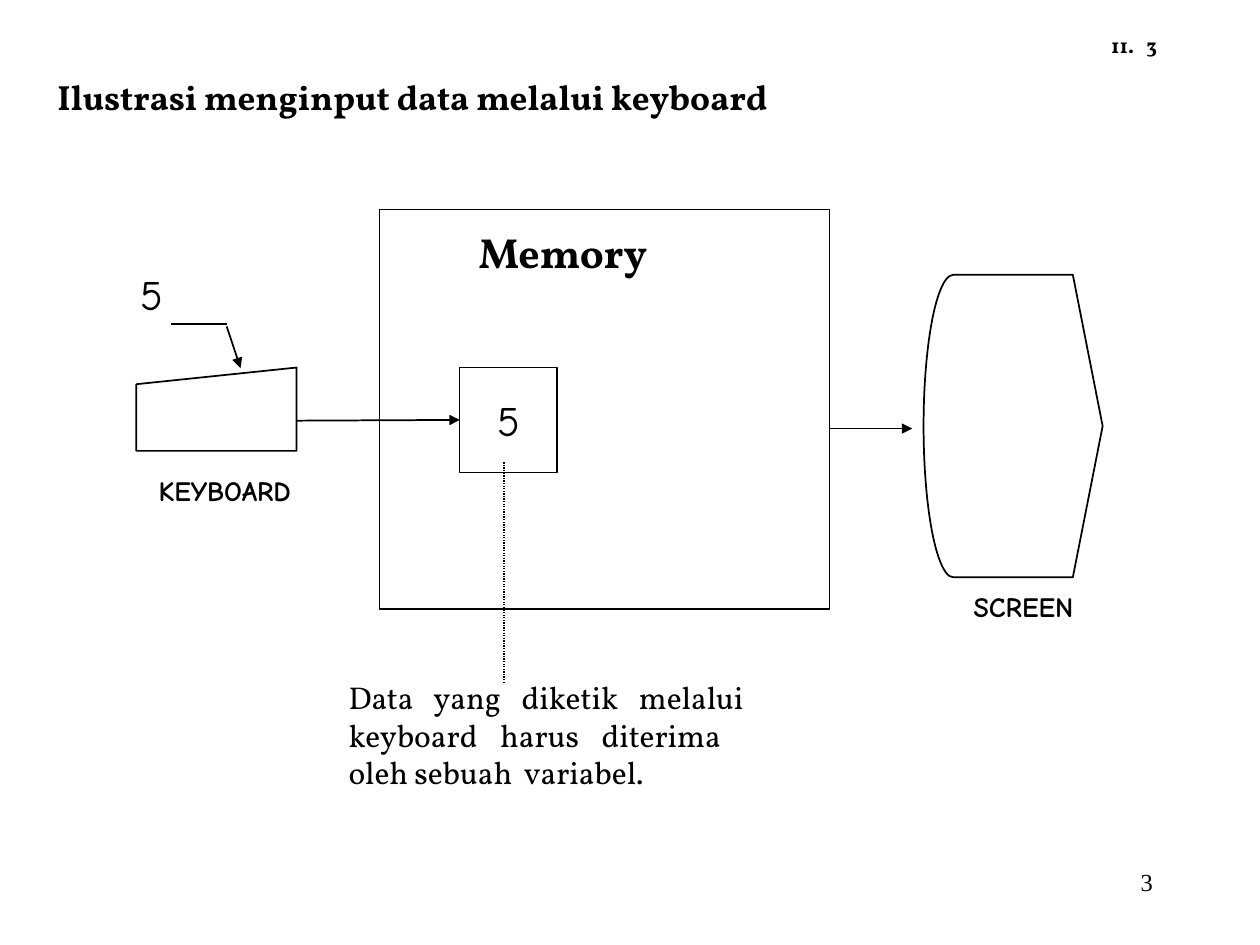
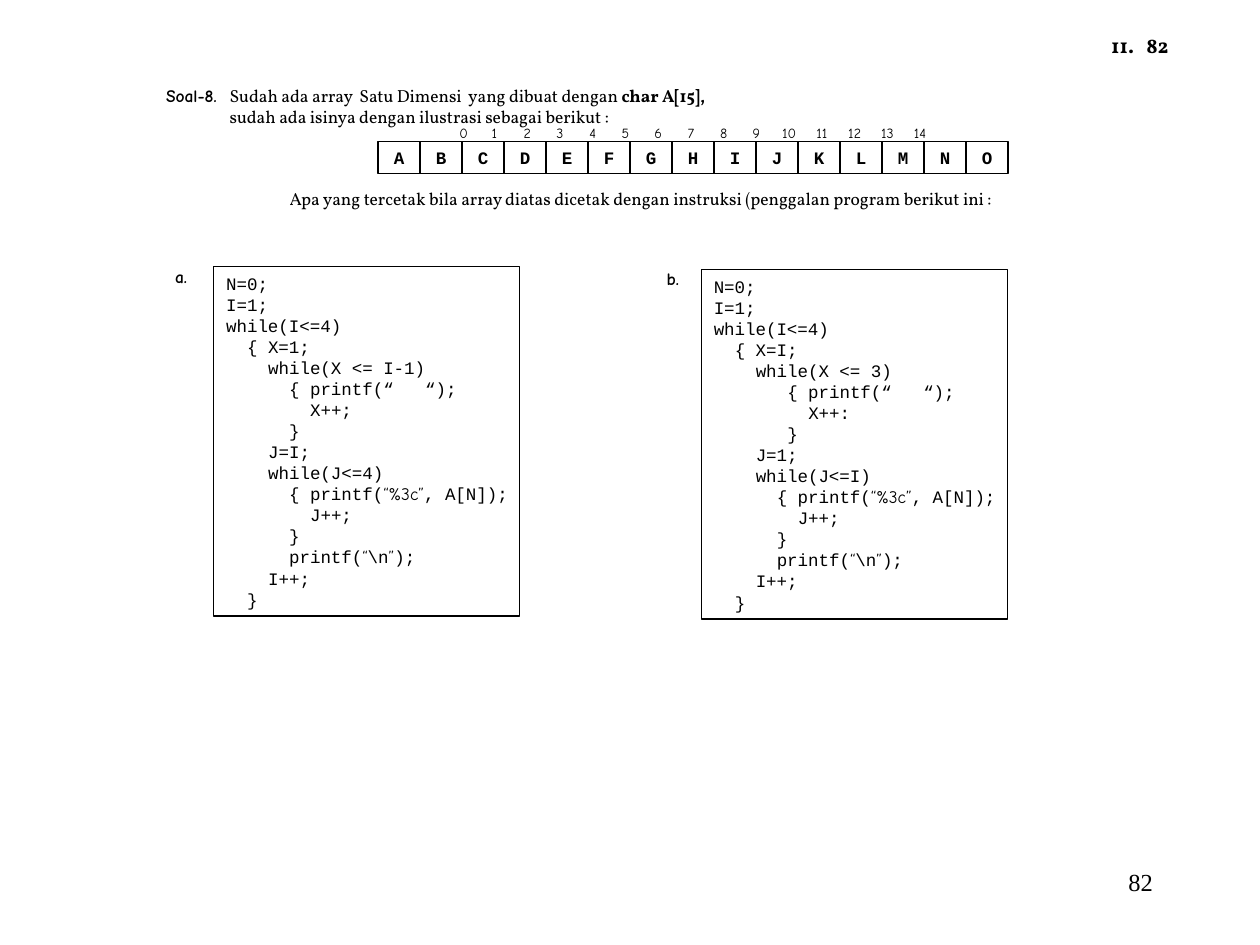
"""Build two lecture slides: keyboard input to memory, and an array printing exercise."""
import dataclasses

import pptx
import pptx.dml.color
import pptx.enum.dml
import pptx.enum.shapes
import pptx.enum.text
import pptx.oxml.ns
import pptx.util
from lxml import etree

Cm = pptx.util.Cm
Pt = pptx.util.Pt
Preset = pptx.enum.shapes.MSO_SHAPE
Align = pptx.enum.text.PP_ALIGN
Anchor = pptx.enum.text.MSO_ANCHOR


@dataclasses.dataclass(frozen=True)
class Theme:
    ink: pptx.dml.color.RGBColor = pptx.dml.color.RGBColor(0, 0, 0)
    serif: str = "Vollkorn"
    hand: str = "Comic Neue"
    code: str = "Courier New"
    number: str = "Times New Roman"
    index: float = 8
    body: float = 10
    header: float = 12
    footer: float = 14
    label: float = 16
    note: float = 18
    title: float = 20
    large: float = 24
    thin: float = 0.75
    medium: float = 1


theme = Theme()


def add_box(slide, bounds, text="", font=theme.serif, size=theme.body, bold=None,
            align=Align.LEFT, wrap=False, preset=None, weight=theme.thin, anchor=Anchor.TOP):
    lengths = [Cm(length) for length in bounds]
    if preset is None:
        shape = slide.shapes.add_textbox(*lengths)
    else:
        shape = slide.shapes.add_shape(preset, *lengths)
        shape.shadow.inherit = False
        shape.fill.background()
        shape.line.color.rgb = theme.ink
        shape.line.width = Pt(weight)
    frame = shape.text_frame
    frame.word_wrap = wrap
    frame.vertical_anchor = anchor
    frame.text = text
    for paragraph in frame.paragraphs:
        paragraph.alignment = align
        paragraph.font.name = font
        paragraph.font.size = Pt(size)
        paragraph.font.bold = bold
        paragraph.font.color.rgb = theme.ink
    return shape


def add_line(slide, points, weight=theme.thin, arrow=False):
    connector = slide.shapes.add_connector(
        pptx.enum.shapes.MSO_CONNECTOR.STRAIGHT, *[Cm(point) for point in points])
    connector.line.color.rgb = theme.ink
    connector.line.width = Pt(weight)
    if arrow:
        line = connector.line._get_or_add_ln()
        etree.SubElement(line, pptx.oxml.ns.qn("a:tailEnd"), type="triangle")
    etree.SubElement(connector.element.spPr, pptx.oxml.ns.qn("a:effectLst"))
    return connector


presentation = pptx.Presentation()
presentation.slide_width = Cm(25.4)
presentation.slide_height = Cm(19.05)

slides = []
for page in ("3", "82"):
    slide = presentation.slides.add_slide(presentation.slide_layouts[6])
    add_box(slide, (22.86, 0.54, 1.7, 0.84), page, size=theme.header, bold=True, wrap=True)
    add_box(slide, (22.15, 0.54, 1.09, 0.76), "11.", size=theme.header, bold=True)
    add_box(slide, (18.21, 17.35, 5.28, 1.27), page, theme.number, theme.footer,
            align=Align.RIGHT, wrap=True)
    slides.append(slide)
input_slide, array_slide = slides

add_box(input_slide, (0.91, 1.4, 15.9, 1.12), "Ilustrasi menginput data melalui keyboard",
        size=theme.title, bold=True)
variable = add_box(input_slide, (9.27, 7.41, 1.96, 2.11), "5", theme.hand, theme.large,
                   align=Align.CENTER, preset=Preset.RECTANGLE, anchor=Anchor.MIDDLE)
variable.fill.solid()
variable.fill.fore_color.rgb = pptx.dml.color.RGBColor(255, 255, 255)
add_box(input_slide, (7.65, 4.23, 9.07, 8.05), preset=Preset.RECTANGLE)
add_box(input_slide, (2.75, 7.41, 3.23, 1.68), preset=Preset.FLOWCHART_MANUAL_INPUT,
        weight=theme.medium)
screen = add_box(input_slide, (18.62, 5.54, 3.61, 6.1), preset=Preset.FLOWCHART_DISPLAY,
                 weight=theme.medium)
screen.element.spPr.get_or_add_xfrm().set("flipH", "1")

add_box(input_slide, (2.58, 5.28, 0.97, 1.27), "5", theme.hand, theme.large)
add_box(input_slide, (2.95, 9.42, 3.18, 0.94), "KEYBOARD", theme.hand, theme.label, True)
add_box(input_slide, (19.38, 11.77, 2.51, 0.94), "SCREEN", theme.hand, theme.label, True)
add_box(input_slide, (9.4, 4.45, 4.09, 1.27), "Memory", size=theme.large, bold=True)
add_box(input_slide, (6.78, 13.54, 8.46, 2.54),
        "Data yang diketik melalui keyboard harus diterima  oleh sebuah  variabel.",
        size=theme.note, align=Align.JUSTIFY, wrap=True)

add_line(input_slide, (3.45, 6.53, 4.57, 6.53), theme.medium)
add_line(input_slide, (4.57, 6.58, 4.85, 7.42), theme.medium, arrow=True)
keyboard_arrow = add_line(input_slide, (5.97, 8.48, 9.27, 8.48), theme.medium, arrow=True)
keyboard_arrow.end_connect(variable, 1)
add_line(input_slide, (16.71, 8.64, 18.39, 8.64), arrow=True)
note_line = add_line(input_slide, (10.16, 9.32, 10.16, 13.77))
note_line.line.dash_style = pptx.enum.dml.MSO_LINE.ROUND_DOT

question = add_box(array_slide, (3.1, 1.59, 19.48, 1.12),
                   "\nsudah ada isinya dengan ilustrasi sebagai berikut :", wrap=True)
first_line, second_line = question.text_frame.paragraphs
for text, font, bold in (
    ("Soal-8.\t", theme.hand, True),
    ("Sudah ada array  Satu Dimensi  yang dibuat dengan ", theme.serif, False),
    ("char A[15],", theme.serif, True),
):
    run = first_line.add_run()
    run.text = text
    run.font.name = font
    run.font.bold = bold
hanging = Cm(1.28)
for paragraph in (first_line, second_line):
    paragraph._p.get_or_add_pPr().set("marL", str(hanging))
first_line._p.get_or_add_pPr().set("indent", str(-hanging))

letters = "ABCDEFGHIJKLMNO"
indices = add_box(array_slide, (9.01, 2.39, 10.4, 0.61),
                  "\t".join(str(number) for number in range(len(letters))),
                  theme.hand, theme.index, wrap=True)
properties = indices.text_frame.paragraphs[0]._p.get_or_add_pPr()
tab_list = etree.Element(pptx.oxml.ns.qn("a:tabLst"))
for number in range(1, len(letters)):
    etree.SubElement(tab_list, pptx.oxml.ns.qn("a:tab"),
                     pos=str(Cm(0.05 + 0.66 * number)), algn="ctr")
properties.insert(0, tab_list)

cell_width = 12.7 / len(letters)
for column, letter in enumerate(letters):
    add_box(array_slide, (7.62 + column * cell_width, 2.86, cell_width, 0.64), letter,
            theme.code, bold=True, align=Align.CENTER, preset=Preset.RECTANGLE,
            anchor=Anchor.MIDDLE)
add_box(array_slide, (5.59, 3.66, 17.27, 0.69),
        "Apa yang tercetak bila array diatas dicetak dengan instruksi "
        "(penggalan program berikut ini :", wrap=True)

character_width = Pt(6)
for label, label_left, label_top, left, top, x_start, x_limit, pad, step_end, j_start, j_limit in (
    ("a.", 3.28, 5.23, 4.31, 5.38, "1", "I-1", "", ";", "I", "4"),
    ("b.", 13.19, 5.28, 14.14, 5.44, "I", "3", " ", ":", "1", "I"),
):
    add_box(array_slide, (label_left, label_top, 1, 0.69), label, theme.hand, bold=True,
            wrap=True)
    code_lines = [
        "N=0;",
        "I=1;",
        "while(I<=4)",
        f"  {{ X={x_start};",
        f"    while(X <= {x_limit})",
        f"{pad}      {{ printf(“   “);",
        f"{pad}        X++{step_end}",
        f"{pad}      }}",
        f"    J={j_start};",
        f"    while(J<={j_limit})",
        "      { printf(|“%3c”|, A[N]);",
        "        J++;",
        "      }",
        "      printf(|“|\\n|”|);",
        "    I++;",
        "  }",
    ]
    listing = add_box(array_slide, (left, top, 6.17, 7.04), "\n" * (len(code_lines) - 1),
                      theme.code, preset=Preset.RECTANGLE)
    for paragraph, code_line in zip(listing.text_frame.paragraphs, code_lines):
        statement = code_line.lstrip()
        depth = len(code_line) - len(statement)
        paragraph._p.get_or_add_pPr().set("marL", str(depth * character_width))
        for position, part in enumerate(statement.split("|")):
            run = paragraph.add_run()
            run.text = part
            if position % 2:
                run.font.name = theme.hand

presentation.save("out.pptx")
